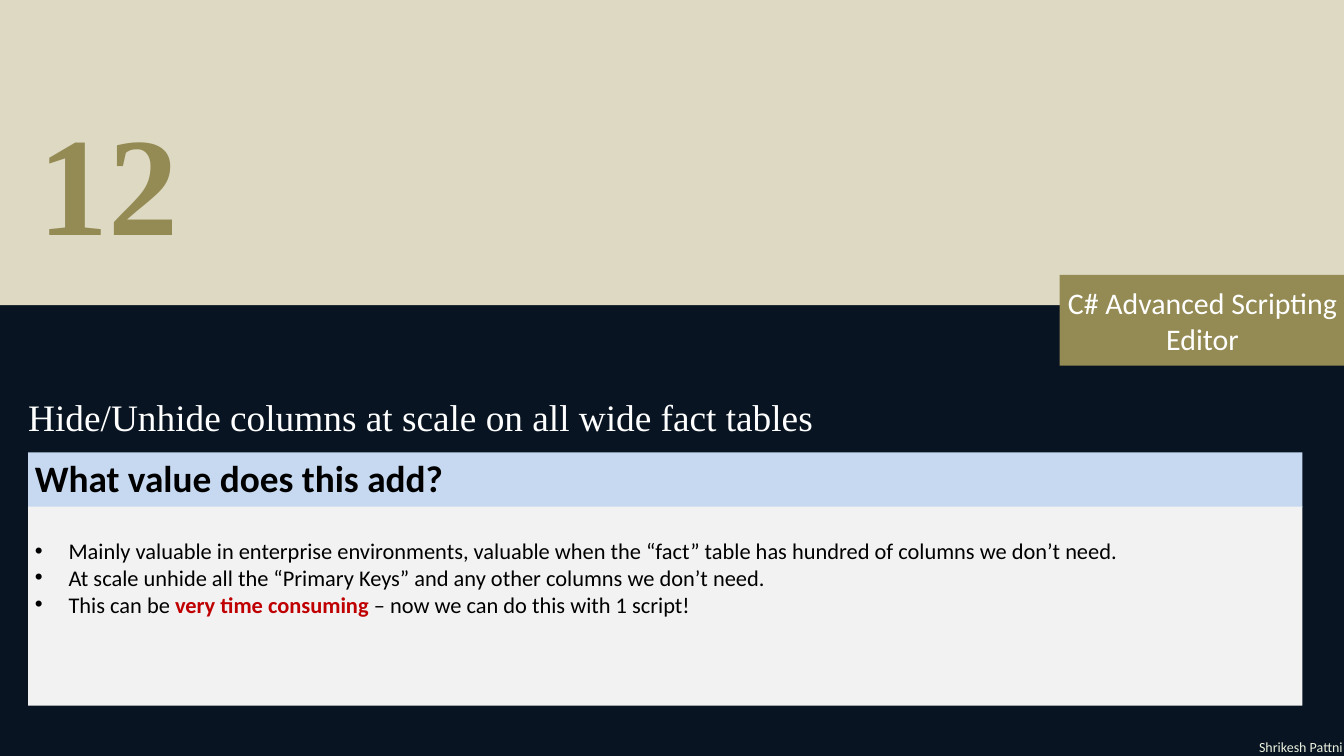
from dataclasses import dataclass

from pptx import Presentation
from pptx.dml.color import RGBColor
from pptx.enum.shapes import MSO_SHAPE as Preset
from pptx.enum.text import MSO_ANCHOR as Anchor, MSO_AUTO_SIZE as AutoSize, PP_ALIGN as Align
from pptx.util import Inches, Pt


@dataclass(frozen=True)
class Theme:
    navy: str = "081422"
    sand: str = "DDD9C3"
    olive: str = "948A54"
    sky: str = "C6D9F1"
    grey: str = "F2F2F2"
    mint: str = "EBF1DE"
    red: str = "C00000"
    white: str = "FFFFFF"
    black: str = "000000"
    serif: str = "Times New Roman"
    sans: str = "Calibri"
    number: int = 150
    heading: int = 40
    tag: int = 32
    body: int = 24
    credit: int = 15


@dataclass(frozen=True)
class Frame:
    left: float
    top: float
    width: float
    height: float

    def lengths(self) -> list:
        return [Inches(value) for value in (self.left, self.top, self.width, self.height)]


@dataclass(frozen=True)
class Span:
    text: str
    color: str
    bold: bool = False


THEME = Theme()
PANEL_LEFT, PANEL_WIDTH = 0.42, 18.96
BULLETS = [
    [Span("Mainly valuable in enterprise environments, valuable when the “fact” table "
          "has hundred of columns we don’t need.", THEME.black)],
    [Span("At scale unhide all the “Primary Keys” and any other columns we don’t need.", THEME.black)],
    [Span("This can be ", THEME.black),
     Span("very time consuming ", THEME.red, bold=True),
     Span("– now we can do this with 1 script!", THEME.black)],
]


def place(shape, frame: Frame) -> None:
    shape.left, shape.top, shape.width, shape.height = frame.lengths()


def fill_shape(shape, color: str) -> None:
    shape.fill.solid()
    shape.fill.fore_color.rgb = RGBColor.from_string(color)


def add_panel(page, frame: Frame, color: str):
    shape = page.shapes.add_shape(Preset.RECTANGLE, *frame.lengths())
    shape.shadow.inherit = False
    shape.line.fill.background()
    fill_shape(shape, color)
    return shape


def set_frame(shape, anchor=Anchor.TOP, inset: tuple = (0.1, 0.05)):
    box = shape.text_frame
    box.word_wrap = True
    box.auto_size = AutoSize.NONE
    box.vertical_anchor = anchor
    box.margin_left = box.margin_right = Inches(inset[0])
    box.margin_top = box.margin_bottom = Inches(inset[1])
    return box


def add_span(para, text: str, *, size: int, color: str, font: str = THEME.sans, bold: bool = False) -> None:
    run = para.add_run()
    run.text = text
    run.font.name = font
    run.font.size = Pt(size)
    run.font.bold = bold
    run.font.color.rgb = RGBColor.from_string(color)


def write(shape, text: str, *, align=Align.LEFT, anchor=Anchor.TOP, inset: tuple = (0.1, 0.05),
          spacing=None, **style) -> None:
    para = set_frame(shape, anchor, inset).paragraphs[0]
    para.alignment = align
    para.line_spacing = spacing
    add_span(para, text, **style)


def write_bullets(shape, bullets: list) -> None:
    box = set_frame(shape)
    box.margin_top = Inches(0.46)
    for index, spans in enumerate(bullets):
        para = box.add_paragraph() if index else box.paragraphs[0]
        properties = para._p.get_or_add_pPr()
        properties.set("marL", str(Inches(0.5)))
        properties.set("indent", str(Inches(-0.5)))
        para.space_before = Pt(0)
        for span in spans:
            add_span(para, span.text, size=THEME.body, color=span.color, bold=span.bold)


def main() -> None:
    deck = Presentation()
    deck.slide_width, deck.slide_height = Inches(20), Inches(11.25)
    page = deck.slides.add_slide(deck.slide_layouts[1])
    fill_shape(page.background, THEME.navy)
    title, body = page.placeholders[0], page.placeholders[1]

    add_panel(page, Frame(0, -0.04, 20, 4.58), THEME.sand)

    number = page.shapes.add_textbox(*Frame(0.58, 2.5, 15, 1.62).lengths())
    write(number, "12", size=THEME.number, color=THEME.olive, font=THEME.serif, bold=True,
          inset=(0, 0), spacing=Pt(102))

    place(title, Frame(PANEL_LEFT, 5.12, 16.75, 1.22))
    write(title, "Hide/Unhide columns at scale on all wide fact tables", size=THEME.heading,
          color=THEME.white, font=THEME.serif, inset=(0, 0), spacing=Pt(102))

    tag = add_panel(page, Frame(15.77, 4.09, 4.25, 1.35), THEME.olive)
    write(tag, "C# Advanced Scripting Editor", size=THEME.tag, color=THEME.white,
          align=Align.CENTER, anchor=Anchor.MIDDLE)

    place(body, Frame(PANEL_LEFT, 7.53, PANEL_WIDTH, 2.97))
    fill_shape(body, THEME.grey)
    write_bullets(body, BULLETS)

    heading = add_panel(page, Frame(PANEL_LEFT, 6.73, PANEL_WIDTH, 0.81), THEME.sky)
    write(heading, "What value does this add?", size=THEME.heading, color=THEME.black, bold=True)

    credit = page.shapes.add_textbox(*Frame(18.04, 10.94, 2.04, 0.35).lengths())
    write(credit, "Shrikesh Pattni", size=THEME.credit, color=THEME.mint, align=Align.RIGHT)

    deck.save("out.pptx")


if __name__ == "__main__":
    main()
